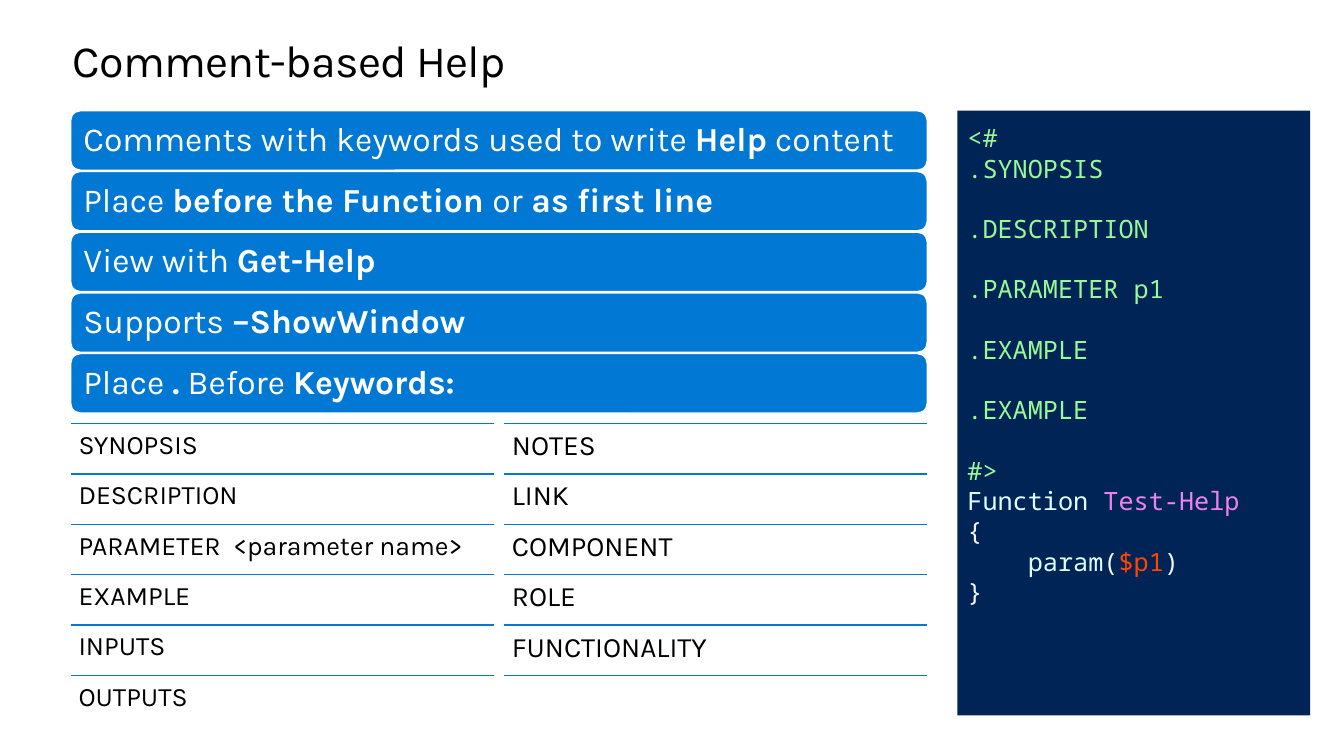
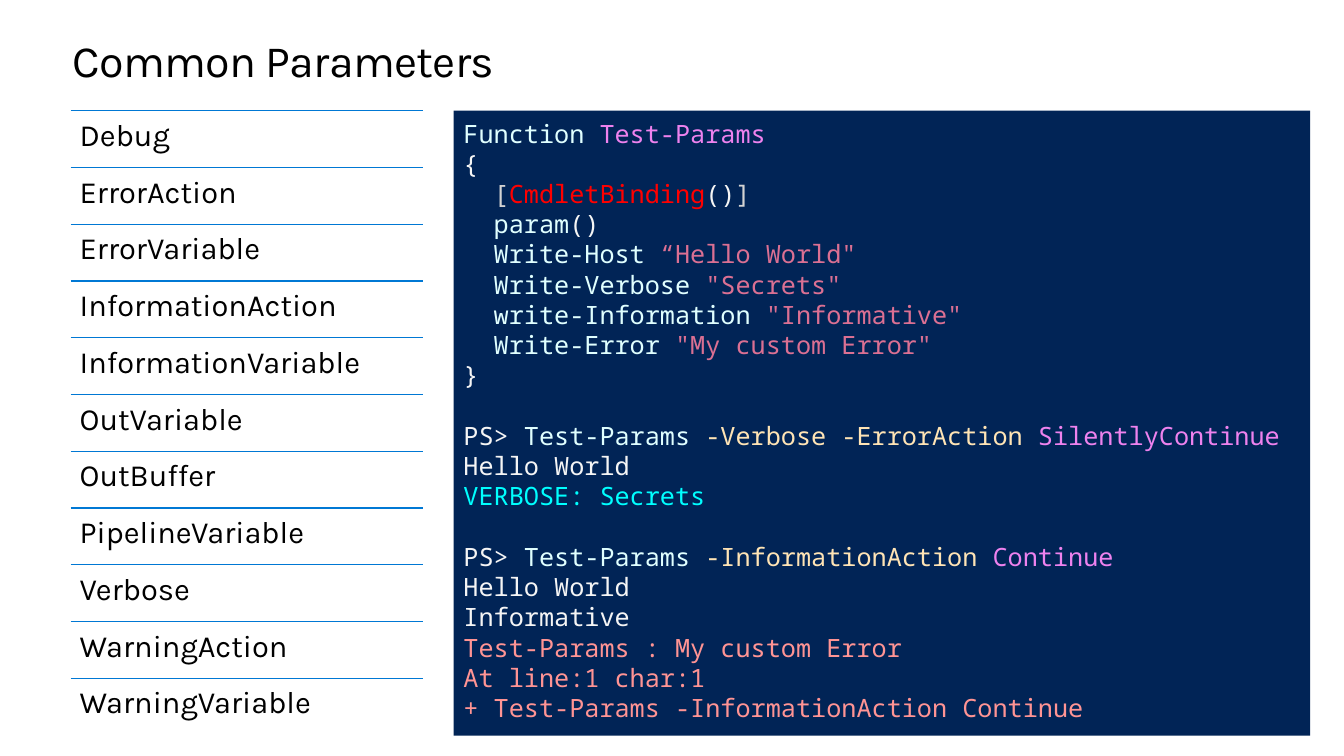
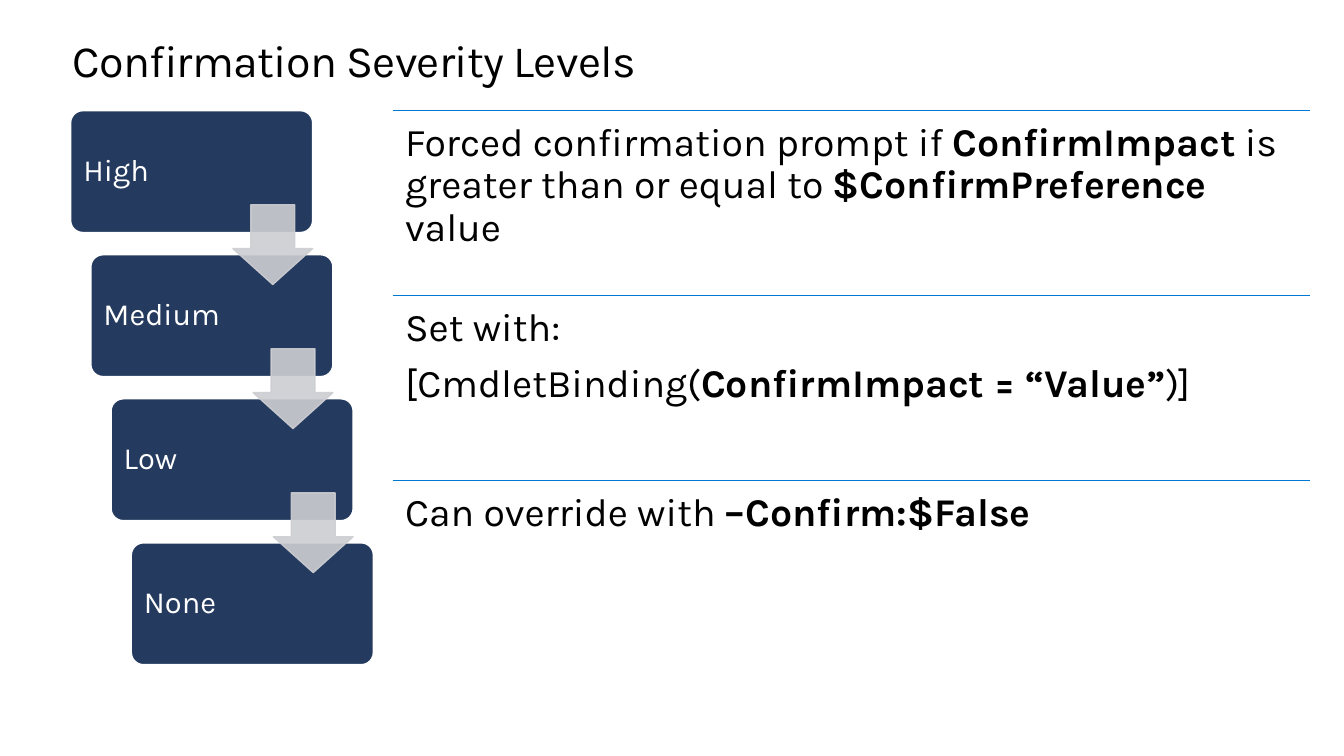
"""Builds three slides on script help, common parameters and confirmation levels."""
import pptx
import pptx.dml.color
import pptx.enum.shapes
import pptx.enum.text
import pptx.oxml
import pptx.oxml.ns
import pptx.util
from lxml import etree

Cm = pptx.util.Cm
Pt = pptx.util.Pt
SHAPES = pptx.enum.shapes.MSO_SHAPE
ANCHOR = pptx.enum.text.MSO_ANCHOR

COLOURS = {
    "paper": "FFFFFF", "ink": "000000", "blue": "0078D4", "navy": "243A5E",
    "arrow": "CDCED2", "console": "012456", "comment": "98FB98",
    "command": "E0FFFF", "name": "EE82EE", "plain": "F5F5F5",
    "bracket": "D3D3D3", "attribute": "FF0000", "variable": "FF4500",
    "string": "DB7093", "switch": "FFE4B5", "verbose": "00FFFF",
    "error": "FF9494",
}
TEXT_FONT, CODE_FONT = "Karla", "Noto Sans Mono"
CODE_SIZE, CODE_PITCH, CODE_CHAR = 18, 21.6, 10.8
LEFT, TOP, RIGHT = 1.78, 2.79, 33.02

HELP_FACTS = [
    ("Comments with keywords used to write ", "Help", " content"),
    ("Place ", "before the Function ", "or", " as first line"),
    ("View with ", "Get-Help"),
    ("Supports ", "–ShowWindow"),
    ("Place ", ".", " Before ", "Keywords:"),
]
KEYWORDS = ["SYNOPSIS", "DESCRIPTION", "PARAMETER  <parameter name>",
            "EXAMPLE", "INPUTS", "OUTPUTS"]
MORE_KEYWORDS = ["NOTES", "LINK", "COMPONENT", "ROLE", "FUNCTIONALITY", ""]
PARAMETERS = ["Debug", "ErrorAction", "ErrorVariable", "InformationAction",
              "InformationVariable", "OutVariable", "OutBuffer",
              "PipelineVariable", "Verbose", "WarningAction",
              "WarningVariable"]
LEVELS = ["High", "Medium", "Low", "None"]
CONFIRM_NOTES = [
    [("Forced confirmation prompt if ", "ConfirmImpact",
      " is greater than or equal to ", "$ConfirmPreference ", "value")],
    [("Set with:",),
     ("[CmdletBinding(", "ConfirmImpact = “Value”", ")]")],
    [("Can override with ", "–Confirm:$False")],
]

# Each code line: blank lines above, indent in characters, coloured pieces.
HELP_CODE = [
    (0, 0, [("comment", "<#")]),
    (0, 0, [("comment", ".SYNOPSIS")]),
    (1, 0, [("comment", ".DESCRIPTION")]),
    (1, 0, [("comment", ".PARAMETER p1")]),
    (1, 0, [("comment", ".EXAMPLE")]),
    (1, 0, [("comment", ".EXAMPLE")]),
    (1, 0, [("comment", "#>")]),
    (0, 0, [("command", "Function "), ("name", "Test-Help")]),
    (0, 0, [("plain", "{")]),
    (0, 4, [("command", "param"), ("plain", "("), ("variable", "$p1"),
            ("plain", ")")]),
    (0, 0, [("plain", "}")]),
]
PARAMS_CODE = [
    (0, 0, [("command", "Function "), ("name", "Test-Params")]),
    (0, 0, [("plain", "{")]),
    (0, 2, [("bracket", "["), ("attribute", "CmdletBinding"),
            ("plain", "()"), ("bracket", "]")]),
    (0, 2, [("command", "param"), ("plain", "()")]),
    (0, 2, [("command", "Write-Host "), ("string", "“Hello World\"")]),
    (0, 2, [("command", "Write-Verbose "), ("string", "\"Secrets\"")]),
    (0, 2, [("command", "write-Information "),
            ("string", "\"Informative\"")]),
    (0, 2, [("command", "Write-Error "), ("string", "\"My custom Error\"")]),
    (0, 0, [("plain", "}")]),
    (1, 0, [("plain", "PS> "), ("command", "Test-Params "),
            ("switch", "-Verbose -ErrorAction "),
            ("name", "SilentlyContinue")]),
    (0, 0, [("plain", "Hello World")]),
    (0, 0, [("verbose", "VERBOSE: Secrets")]),
    (1, 0, [("plain", "PS> "), ("command", "Test-Params "),
            ("switch", "-InformationAction "), ("name", "Continue")]),
    (0, 0, [("plain", "Hello World")]),
    (0, 0, [("plain", "Informative")]),
    (0, 0, [("error", "Test-Params : My custom Error")]),
    (0, 0, [("error", "At line:1 char:1")]),
    (0, 0, [("error", "+ Test-Params -InformationAction Continue")]),
]


def rgb(colour):
    return pptx.dml.color.RGBColor.from_string(COLOURS[colour])


def style(run, size, colour, font=TEXT_FONT, bold=False):
    run.font.size, run.font.name, run.font.bold = Pt(size), font, bold
    run.font.color.rgb = rgb(colour)


def set_frame(frame, inset, anchor=ANCHOR.TOP):
    frame.word_wrap = True
    frame.vertical_anchor = anchor
    frame.margin_left = frame.margin_right = Cm(inset)
    frame.margin_top = frame.margin_bottom = Cm(inset)


def paragraphs(frame, count):
    for _ in range(count - 1):
        frame.add_paragraph()
    for paragraph in frame.paragraphs:
        paragraph.alignment = pptx.enum.text.PP_ALIGN.LEFT
    return frame.paragraphs


def write(frame, lines, size, colour):
    """Writes lines whose pieces alternate between regular and bold."""
    for paragraph, pieces in zip(paragraphs(frame, len(lines)), lines):
        paragraph.line_spacing = 0.9
        paragraph.space_after = Pt(round(size * 0.35))
        for order, piece in enumerate(pieces):
            run = paragraph.add_run()
            run.text = piece
            style(run, size, colour, bold=order % 2 == 1)


def add_block(slide, kind, box, fill, line=None):
    block = slide.shapes.add_shape(kind, *map(Cm, box))
    block.shadow.inherit = False
    block.fill.solid()
    block.fill.fore_color.rgb = rgb(fill)
    if line:
        block.line.color.rgb = rgb(line)
        block.line.width = Pt(1)
    else:
        block.line.fill.background()
    return block


def add_code(slide, box, lines, inset):
    frame = add_block(slide, SHAPES.RECTANGLE, box, "console").text_frame
    set_frame(frame, 0.25)
    frame.margin_top = Cm(inset)
    for paragraph, (gap, indent, pieces) in zip(
            paragraphs(frame, len(lines)), lines):
        paragraph.line_spacing = Pt(CODE_PITCH)
        paragraph.space_before = Pt(gap * CODE_PITCH)
        properties = paragraph._p.get_or_add_pPr()
        properties.set("marL", str(int(Pt(indent * CODE_CHAR))))
        properties.set("indent", "0")
        for colour, piece in pieces:
            run = paragraph.add_run()
            run.text = piece
            style(run, CODE_SIZE, colour, CODE_FONT)


def add_ruled_list(slide, left, top, width, pitch, items, size, inset):
    for row, lines in enumerate(items):
        y = top + row * pitch
        rule = slide.shapes.add_connector(
            pptx.enum.shapes.MSO_CONNECTOR.STRAIGHT,
            Cm(left), Cm(y), Cm(left + width), Cm(y))
        rule.line.color.rgb = rgb("blue")
        rule.line.width = Pt(1)
        etree.SubElement(rule._element.spPr,
                         pptx.oxml.ns.qn("a:effectLst"))
        if lines:
            entry = slide.shapes.add_textbox(
                Cm(left), Cm(y), Cm(width), Cm(pitch))
            set_frame(entry.text_frame, inset)
            write(entry.text_frame, lines, size, "ink")


def single_lines(names):
    return [[(name,)] if name else [] for name in names]


def add_slide(deck, heading):
    slide = deck.slides.add_slide(deck.slide_layouts.get_by_name("Title Only"))
    title = slide.shapes.title
    title.left, title.top = Cm(1.83), Cm(0.89)
    title.width, title.height = Cm(30.23), Cm(1.27)
    title.fill.solid()
    title.fill.fore_color.rgb = rgb("paper")
    title.text_frame.text = heading
    set_frame(title.text_frame, 0)
    title.text_frame.auto_size = pptx.enum.text.MSO_AUTO_SIZE.SHAPE_TO_FIT_TEXT
    paragraph, = paragraphs(title.text_frame, 1)
    paragraph.line_spacing = Pt(36.2)
    style(paragraph.runs[0], 32, "ink")
    paragraph.runs[0].font._element.set("spc", "-50")
    return slide


def build_help(deck):
    slide = add_slide(deck, "Comment-based Help")
    for row, fact in enumerate(HELP_FACTS):
        bar = add_block(slide, SHAPES.ROUNDED_RECTANGLE,
                        (LEFT, TOP + row * 1.53, 21.59, 1.5), "blue", "paper")
        set_frame(bar.text_frame, 0.25, ANCHOR.MIDDLE)
        write(bar.text_frame, [fact], 24, "paper")
    add_code(slide, (24.13, TOP, RIGHT - 24.13, 15.24), HELP_CODE, 0.3)
    for left, names, size in ((LEFT, KEYWORDS, 19), (12.7, MORE_KEYWORDS, 20)):
        add_ruled_list(slide, left, 10.67, 10.67, 1.27,
                       single_lines(names), size, 0.2)


def build_parameters(deck):
    slide = add_slide(deck, "Common Parameters")
    add_ruled_list(slide, LEFT, TOP, 8.89, 1.43,
                   single_lines(PARAMETERS), 22, 0.23)
    add_code(slide, (11.43, TOP, RIGHT - 11.43, 15.75), PARAMS_CODE, 0.18)


def build_levels(deck):
    slide = add_slide(deck, "Confirmation Severity Levels")
    add_ruled_list(slide, 9.91, TOP, RIGHT - 9.91, 4.66, CONFIRM_NOTES, 28, 0.3)
    step_x, step_y = 0.51, 3.63
    for order, level in enumerate(LEVELS):
        box = add_block(
            slide, SHAPES.ROUNDED_RECTANGLE,
            (LEFT + order * step_x, TOP + order * step_y, 6.1, 3.07),
            "navy", "paper")
        box.adjustments[0] = 0.1
        set_frame(box.text_frame, 0.23, ANCHOR.MIDDLE)
        write(box.text_frame, [(level,)], 22, "paper")
    for order in range(len(LEVELS) - 1):
        arrow = add_block(
            slide, SHAPES.DOWN_ARROW,
            (5.87 + order * step_x, 5.16 + order * step_y, 2.01, 2.01),
            "arrow", "arrow")
        arrow.adjustments[0], arrow.adjustments[1] = 0.55, 0.45
        for colour in arrow._element.spPr.iter(pptx.oxml.ns.qn("a:srgbClr")):
            etree.SubElement(colour, pptx.oxml.ns.qn("a:alpha"), val="90000")


def main():
    deck = pptx.Presentation()
    deck.slide_width, deck.slide_height = Cm(33.87), Cm(19.05)
    build_help(deck)
    build_parameters(deck)
    build_levels(deck)
    deck.save("out.pptx")


if __name__ == "__main__":
    main()
